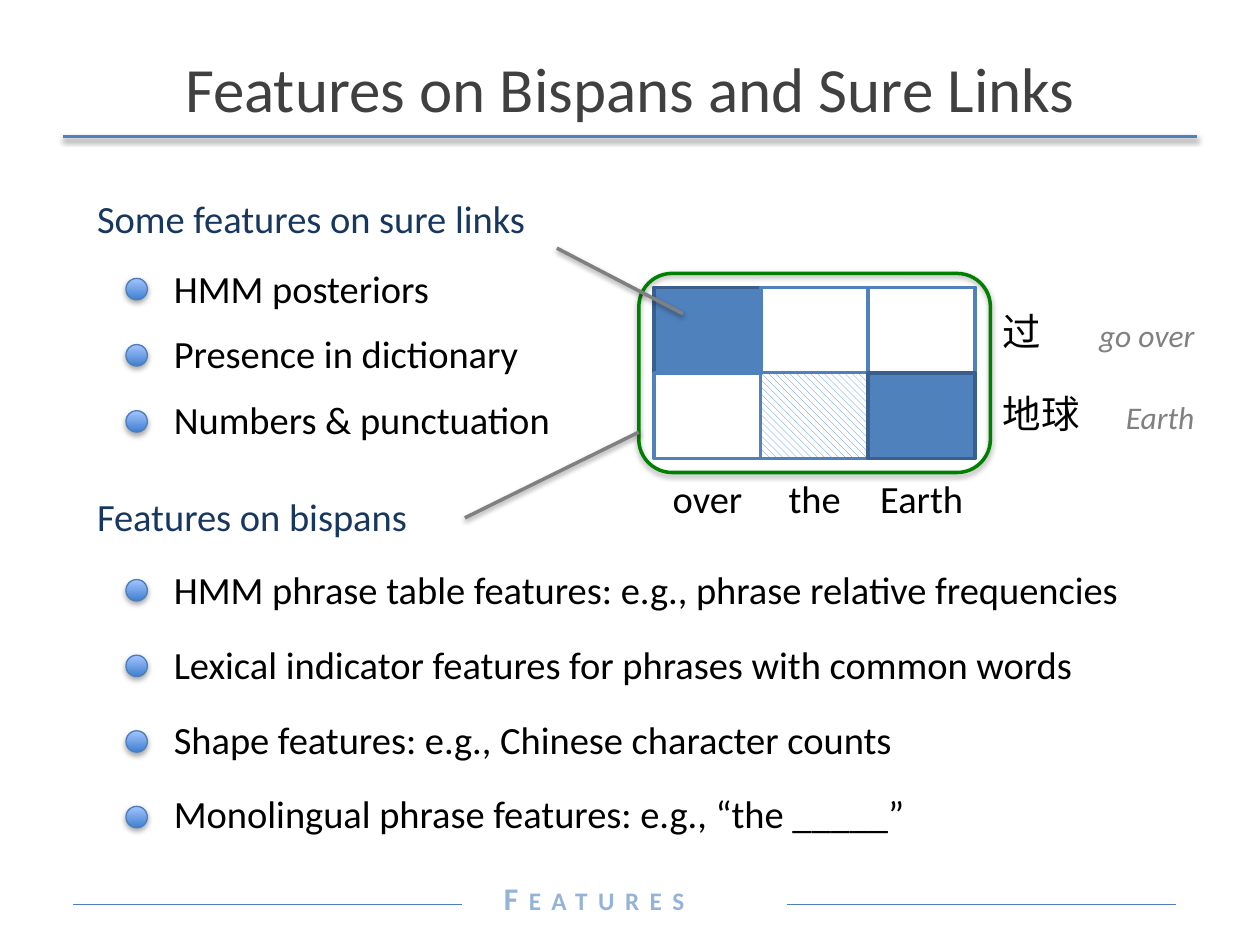
import pptx
import pptx.util
import pptx.dml.color
import pptx.enum.dml
import pptx.enum.shapes
import pptx.enum.text
import pptx.oxml
import pptx.oxml.ns

HUES = {
    "title": "404040", "head": "17375E", "text": "000000", "gray": "808080",
    "foot": "95B3D7", "blue": "4F81BD", "edge": "3A5F8C", "rule": "4B7EBC",
    "hatch": "3F80CD", "low": "3F80CE", "high": "A4C4FF",
    "green": "008000", "white": "FFFFFF",
}
FORM = pptx.enum.shapes.MSO_SHAPE
SIDE = pptx.enum.text.PP_ALIGN
MID = pptx.enum.text.MSO_ANCHOR.MIDDLE

deck = pptx.Presentation()
deck.slide_width = pptx.util.Inches(10)
deck.slide_height = pptx.util.Inches(7.5)
page = deck.slides.add_slide(deck.slide_layouts[3])  # title and two bodies
UNIT = deck.slide_width / 100  # grid of 100 columns by 75 rows


def grid(*cells):
    return [round(cell * UNIT) for cell in cells]


def hue(name):
    return pptx.dml.color.RGBColor.from_string(HUES[name])


def place(shape, box):
    shape.left, shape.top, shape.width, shape.height = grid(*box)


def style(para, size, tint, align=SIDE.LEFT):
    para.alignment = align
    for run in para.runs:
        run.font.name = "Calibri"
        run.font.size = pptx.util.Pt(size)
        run.font.color.rgb = hue(tint)


def shade(shape, alpha=None):
    """Give a shape a soft shadow below it, or none."""
    inner = "" if alpha is None else (
        '<a:outerShdw blurRad="40000" dist="20000" dir="5400000" rotWithShape="0">'
        f'<a:srgbClr val="000000"><a:alpha val="{alpha * 1000}"/></a:srgbClr>'
        '</a:outerShdw>')
    space = pptx.oxml.ns.nsdecls("a")
    shape._element.spPr.append(pptx.oxml.parse_xml(
        f"<a:effectLst {space}>{inner}</a:effectLst>"))


def line(start, end, tint, width, alpha=None):
    link = page.shapes.add_connector(
        pptx.enum.shapes.MSO_CONNECTOR.STRAIGHT, *grid(*start, *end))
    link.line.color.rgb = hue(tint)
    link.line.width = pptx.util.Pt(width)
    shade(link, alpha)


def shape(form, box, tint, width, alpha=None):
    item = page.shapes.add_shape(form, *grid(*box))
    item.line.color.rgb = hue(tint)
    item.line.width = pptx.util.Pt(width)
    shade(item, alpha)
    return item


def label(text, box, size, tint, align=SIDE.LEFT):
    frame = page.shapes.add_textbox(*grid(*box)).text_frame
    frame.word_wrap = True
    frame.margin_left = frame.margin_right = 0
    frame.vertical_anchor = MID
    frame.text = text
    style(frame.paragraphs[0], size, tint, align)
    return frame.paragraphs[0].runs[0]


def header(box, text):
    left, top, wide, high = box
    line((left, top + high), (left + wide, top + high), "blue", 2, 38)
    title = page.shapes.title
    place(title, (left + 2.5, top, wide - 5, high))
    title.text_frame.text = text
    title.text_frame.vertical_anchor = MID
    style(title.text_frame.paragraphs[0], 36, "title", SIDE.CENTER)


def section(body, box, head, items, first, pitch):
    """A heading and its items; first and pitch are steps between lines."""
    left, top = box[:2]
    place(body, box)
    frame = body.text_frame
    frame.auto_size = pptx.enum.text.MSO_AUTO_SIZE.NONE
    frame.vertical_anchor = pptx.enum.text.MSO_ANCHOR.TOP
    frame.text = "\n".join([head] + items)
    for row, para in enumerate(frame.paragraphs):
        style(para, 22, "text" if row else "head")
        para.line_spacing = 1.0
        para.space_before = pptx.util.Pt(0)
        step = pitch if row else first
        para.space_after = pptx.util.Pt(round(step * 7.2 - 26.9, 1))
        props = para._p.get_or_add_pPr()
        props.set("marL", str(grid(6.1)[0] if row else 0))
        props.set("indent", "0")
        props.append(pptx.oxml.parse_xml(
            f'<a:buNone {pptx.oxml.ns.nsdecls("a")}/>'))
    # Round bullets
    for row in range(len(items)):
        spot = (left + 3.3, top + first + row * pitch + 1.5, 1.7, 1.7)
        dot = shape(FORM.OVAL, spot, "rule", 0.75, 35)
        dot.fill.gradient()
        dot.fill.gradient_angle = 90
        for stop, tint in zip(dot.fill.gradient_stops, ("low", "high")):
            stop.color.rgb = hue(tint)


def matrix(box, marks, words, glyphs):
    left, top, wide, high = box
    wide, high = wide / len(marks[0]), high / len(marks)
    # Link cells: # sure, / possible, . none
    for row, kinds in enumerate(marks):
        for col, kind in enumerate(kinds):
            spot = (left + col * wide, top + row * high, wide, high)
            cell = shape(FORM.RECTANGLE, spot,
                         "edge" if kind == "#" else "blue",
                         1.5 if kind == "/" else 2)
            if kind == "/":
                cell.fill.patterned()
                cell.fill.pattern = (
                    pptx.enum.dml.MSO_PATTERN.WIDE_DOWNWARD_DIAGONAL)
                cell.fill.fore_color.rgb = hue("hatch")
                cell.fill.back_color.rgb = hue("white")
            else:
                cell.fill.solid()
                cell.fill.fore_color.rgb = hue("blue" if kind == "#" else "white")
    # Row and column labels
    for row, (glyph, gloss) in enumerate(glyphs):
        base = top + 1.1 + row * 6.5
        label(glyph, (left + 27.7, base, 8, 4.7), 22, "text")
        label(gloss, (left + 33.9, base + 0.7, 9, 4), 18, "gray",
              SIDE.RIGHT).font.italic = True
    for col, word in enumerate(words):
        spot = (left + col * wide, top + 14.4, wide, 4.7)
        label(word, spot, 22, "text", SIDE.CENTER)
    # Bispan frame
    ring = shape(FORM.ROUNDED_RECTANGLE,
                 (left - 1.2, top - 1.1, box[2] + 2.4, box[3] + 2.2),
                 "green", 2, 35)
    ring.fill.background()


def footer(box, text):
    left, top, wide, high = box
    run = label(text, (left + 34.2, top, 19, high), 18, "foot", SIDE.CENTER)
    run.font.bold = True
    run.font._element.set("cap", "small")
    run.font._element.set("spc", "600")
    for start in (left, left + wide - 30.85):
        line((start, top + 2.5), (start + 30.85, top + 2.5), "rule", 0.75)


header((5, 3, 90, 7.85), "Features on Bispans and Sure Links")
footer((5.8, 69.3, 87.5, 4), "Features")
matrix((51.9, 22.8, 25.5, 13.6), ["#..", "./#"], ["over", "the", "Earth"],
       [("过", "go over"), ("地球", "Earth")])
section(page.placeholders[1], (6.7, 15, 43, 21), "Some features on sure links",
        ["HMM posteriors", "Presence in dictionary", "Numbers & punctuation"],
        5.6, 5.25)
section(page.placeholders[2], (6.7, 38.6, 91, 29), "Features on bispans",
        ["HMM phrase table features: e.g., phrase relative frequencies",
         "Lexical indicator features for phrases with common words",
         "Shape features: e.g., Chinese character counts",
         "Monolingual phrase features: e.g., “the _____”"],
        5.9, 6)

# Pointers from the headings to the cells
line((44.2, 19.7), (54.2, 24.9), "gray", 2, 38)
line((36.9, 41.1), (50.7, 34.3), "gray", 2, 38)

deck.save("out.pptx")
